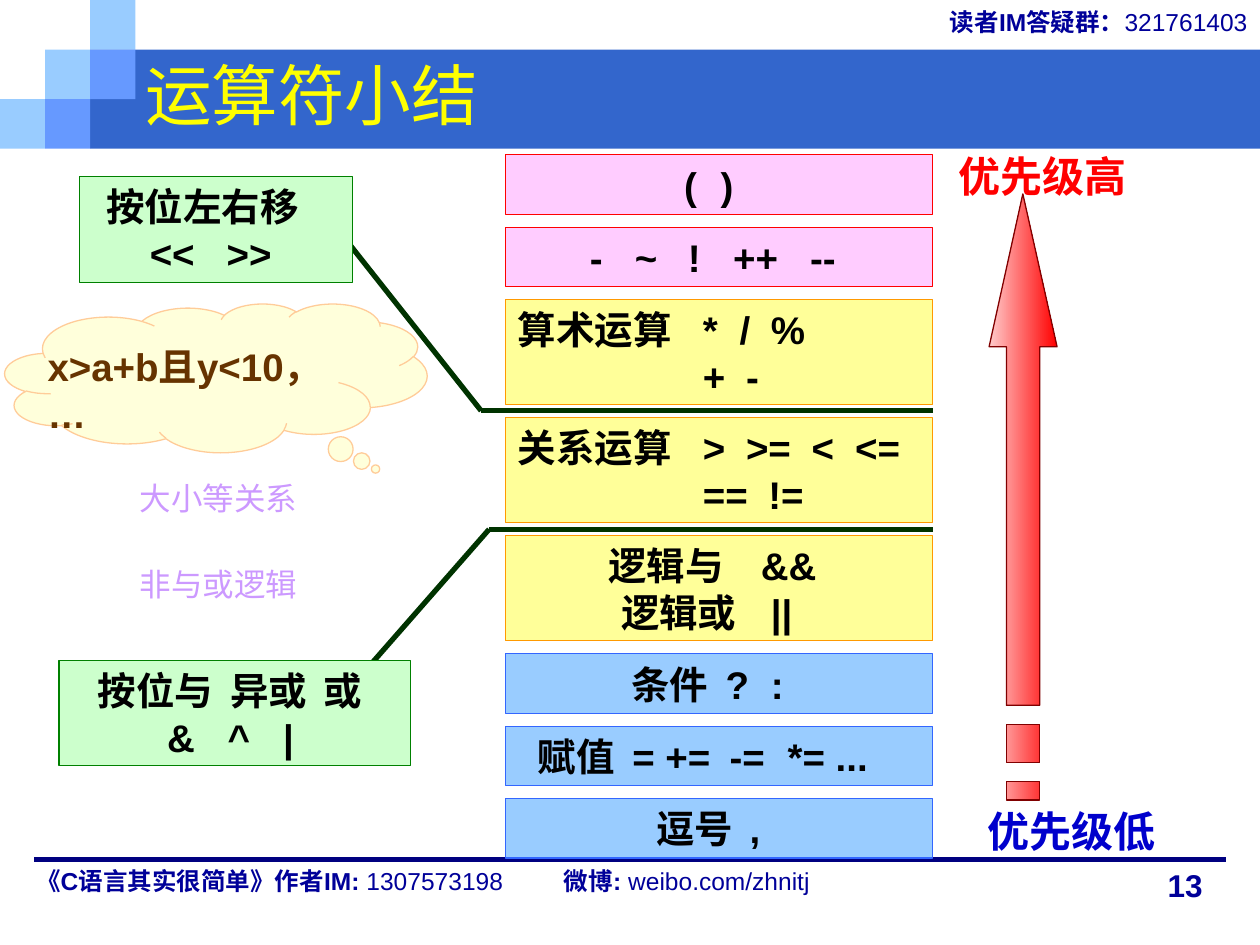
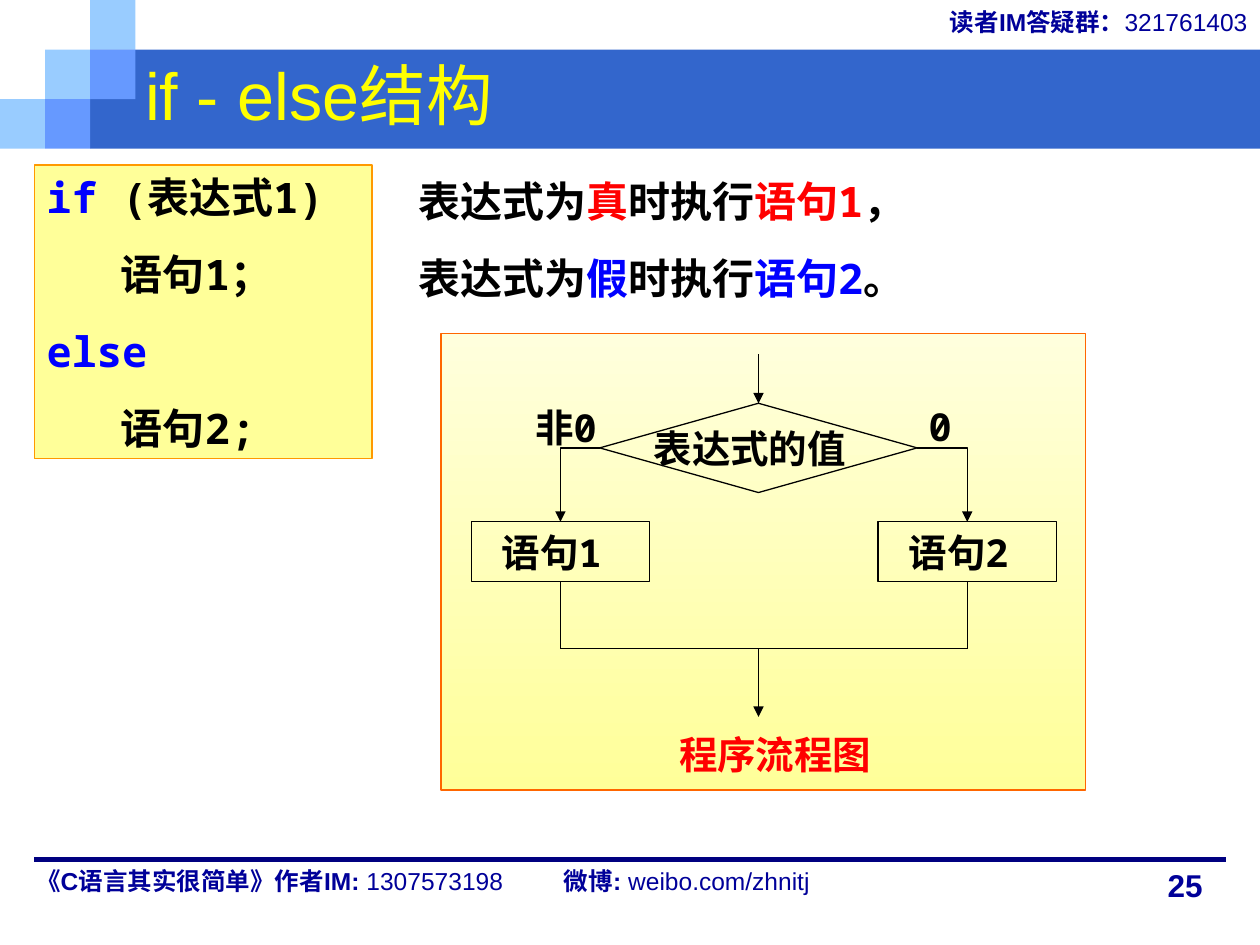
"""Builds two C-language lecture slides: operator precedence and the if-else structure."""
from dataclasses import dataclass
from typing import Any, NamedTuple, Optional

from lxml import etree
from pptx import Presentation
from pptx import util as u
from pptx.dml import color as dml
from pptx.enum import shapes, text
from pptx.oxml import ns

COLORS = {
    "band": "3366CC", "sky": "99CCFF", "mid": "6699FF", "rule": "000080", "navy": "000099",
    "title": "FFFF00", "black": "000000", "red": "FF0000", "blue": "0000FF", "low": "0000CC",
    "pink": "FFCCCC", "maroon": "800000", "lilac": "FFCCFF", "yellow": "FFFF99",
    "orange": "FF9900", "azure": "3366FF", "mint": "CCFFCC", "green": "008000",
    "forest": "003300", "cream": "FFFFCC", "peach": "FFCC99", "brown": "663300",
    "violet": "CC99FF", "ivory": "FFFFDD", "flame": "FF6600",
}
SANS, CJK, MONO = "Arial", "Noto Sans CJK SC", "Noto Sans Mono"
LEADING = 1.21
LEFT, CENTER, RIGHT = text.PP_ALIGN.LEFT, text.PP_ALIGN.CENTER, text.PP_ALIGN.RIGHT
RECT = shapes.MSO_SHAPE.RECTANGLE


class Run(NamedTuple):
    words: str
    color: Optional[str] = None
    bold: Optional[bool] = None


class Line(NamedTuple):
    runs: tuple[Run, ...]
    stops: tuple[float, ...] = ()


class Leg(NamedTuple):
    x1: float
    y1: float
    x2: float
    y2: float
    arrow: bool = False


@dataclass
class Box:
    left: float
    top: float
    width: float
    height: float
    lines: tuple[Line, ...] = ()
    kind: Any = None
    fill: Optional[str] = None
    edge: Optional[str] = None
    size: float = 22
    font: str = SANS
    bold: bool = True
    color: str = "black"
    align: Any = LEFT
    anchor: Any = text.MSO_ANCHOR.TOP
    before: float = 0
    wrap: bool = True
    right_inset: float = 0.25


def rgb(key: str) -> dml.RGBColor:
    return dml.RGBColor.from_string(COLORS[key])


def line(words: str, *stops: float) -> Line:
    return Line((Run(words),), stops)


def apply(target: Any, values: dict[str, Any]) -> None:
    for name, value in values.items():
        setattr(target, name, value)


def child(parent: Any, tag: str, **attributes: str) -> Any:
    return etree.SubElement(parent, ns.qn(tag), attributes)


def format_run(run: Any, size: float, font: str, bold: bool, color: str) -> None:
    apply(run.font, {"size": u.Pt(size), "name": font, "bold": bold})
    run.font.color.rgb = rgb(color)
    child(run.font._element, "a:ea", typeface=CJK)


def write(frame: Any, box: Box) -> None:
    apply(frame, {
        "word_wrap": box.wrap, "auto_size": text.MSO_AUTO_SIZE.NONE, "vertical_anchor": box.anchor,
        "margin_left": u.Cm(0.25), "margin_right": u.Cm(box.right_inset),
        "margin_top": u.Cm(0.13), "margin_bottom": u.Cm(0.13),
    })
    for index, entry in enumerate(box.lines):
        paragraph = frame.add_paragraph() if index else frame.paragraphs[0]
        apply(paragraph, {
            "alignment": box.align, "line_spacing": u.Pt(round(box.size * LEADING, 1)),
            "space_before": u.Pt(box.before if index else 0),
        })
        if entry.stops:
            stops = child(paragraph._p.get_or_add_pPr(), "a:tabLst")
            for stop in entry.stops:
                child(stops, "a:tab", pos=str(u.Cm(stop)), algn="l")
        for part in entry.runs:
            run = paragraph.add_run()
            run.text = part.words
            bold = box.bold if part.bold is None else part.bold
            format_run(run, box.size, box.font, bold, part.color or box.color)


def paint(shape: Any, fill: Optional[str], edge: Optional[str]) -> None:
    shape.shadow.inherit = False
    if fill:
        shape.fill.solid()
        shape.fill.fore_color.rgb = rgb(fill)
    else:
        shape.fill.background()
    if edge:
        shape.line.color.rgb = rgb(edge)
        shape.line.width = u.Pt(0.75)
    else:
        shape.line.fill.background()


def shade(shape: Any, start: str, end: str, angle: float) -> None:
    shape.fill.gradient()
    shape.fill.gradient_angle = angle
    for stop, key in zip(shape.fill.gradient_stops, (start, end)):
        stop.color.rgb = rgb(key)


def draw_box(slide: Any, box: Box) -> Any:
    frame = [u.Cm(v) for v in (box.left, box.top, box.width, box.height)]
    if box.kind is None:
        shape = slide.shapes.add_textbox(*frame)
    else:
        shape = slide.shapes.add_shape(box.kind, *frame)
        paint(shape, box.fill, box.edge)
    if box.lines:
        write(shape.text_frame, box)
    return shape


def finish_connector(connector: Any, color: str, width: float, arrow: bool) -> None:
    connector.line.color.rgb = rgb(color)
    connector.line.width = u.Pt(width)
    if arrow:
        child(connector.line._get_or_add_ln(), "a:tailEnd", type="triangle")
    child(connector._element.spPr, "a:effectLst")


def draw_leg(slide: Any, leg: Leg, color: str = "black", width: float = 0.75) -> None:
    ends = [u.Cm(v) for v in leg[:4]]
    connector = slide.shapes.add_connector(shapes.MSO_CONNECTOR.STRAIGHT, *ends)
    finish_connector(connector, color, width, leg.arrow)


def draw_branch(slide: Any, decision: Any, site: int, statement: Any) -> None:
    connector = slide.shapes.add_connector(shapes.MSO_CONNECTOR.ELBOW, 0, 0, 0, 0)
    connector.begin_connect(decision, site)
    connector.end_connect(statement, 0)
    connector._element.spPr.find(ns.qn("a:prstGeom")).set("prst", "bentConnector2")
    finish_connector(connector, "black", 0.75, True)


def start_slide(deck: Any, heading: str, number: int) -> Any:
    slide = deck.slides.add_slide(deck.slide_layouts[5])
    tile_width, tile_height = 0.91, 1.0
    band_left = 2 * tile_width
    draw_box(slide, Box(band_left, 1, 25.4 - band_left, 2, kind=RECT, fill="band"))
    for column, row, fill in ((0, 2, "sky"), (1, 1, "sky"), (2, 0, "sky"), (2, 1, "mid"), (1, 2, "mid")):
        draw_box(slide, Box(column * tile_width, row * tile_height, tile_width, tile_height,
                            kind=RECT, fill=fill))
    draw_leg(slide, Leg(0.69, 17.32, 24.71, 17.32), "rule", 3)
    author = Line((Run("《C语言其实很简单》作者IM: "), Run("1307573198\t", bold=False),
                   Run("微博: "), Run("weibo.com/zhnitj", bold=False)), (10.64,))
    readers = Line((Run("读者IM答疑群："), Run("321761403", bold=False)))
    for box in (
        Box(23.29, 17.32, 1.4, 1.02, (line(str(number)),), size=18, color="navy"),
        Box(0.48, 17.32, 19.41, 1.19, (author,), size=14, color="navy"),
        Box(10.8, 0, 14.6, 0.91, (readers,), size=14, color="navy", align=RIGHT),
    ):
        draw_box(slide, box)
    title = slide.shapes.title
    apply(title, {"left": u.Cm(2.67), "top": u.Cm(0.71), "width": u.Cm(22.23), "height": u.Cm(2.36)})
    apply(title.text_frame, {"text": heading, "vertical_anchor": text.MSO_ANCHOR.MIDDLE,
                             "auto_size": text.MSO_AUTO_SIZE.NONE})
    paragraph = title.text_frame.paragraphs[0]
    paragraph.alignment = LEFT
    format_run(paragraph.runs[0], 38, SANS, False, "title")
    slide.shapes._spTree.append(title._element)
    return slide


def draw_priority_arrow(slide: Any) -> None:
    left, right = 20.29, 20.96
    head = ((19.94, 6.99), (left, 6.99), (left, 14.22), (right, 14.22), (right, 6.99),
            (21.31, 6.99), (20.62, 3.91))
    dashes = (((left, top), (right, top), (right, bottom), (left, bottom))
              for top, bottom in ((14.61, 15.37), (15.75, 16.13)))
    builder = None
    for outline in (head, *dashes):
        start, *corners = [(u.Cm(x), u.Cm(y)) for x, y in outline]
        if builder is None:
            builder = slide.shapes.build_freeform(*start)
        else:
            builder.move_to(*start)
        builder.add_line_segments(corners)
    arrow = builder.convert_to_shape()
    paint(arrow, "red", "maroon")
    shade(arrow, "pink", "red", 0)


def build_operators(deck: Any) -> None:
    slide = start_slide(deck, "运算符小结", 13)
    tiers = (
        ("lilac", "red", (line("\t(\t)", 3.35, 4.09),)),
        ("lilac", "red", (line("\t-\t~\t!\t++\t--", 1.45, 2.36, 3.43, 4.34, 5.89),)),
        ("yellow", "orange", (line("算术运算\t*\t/\t%", 3.73, 4.47, 5.1), line("\t+\t-", 3.73, 4.6))),
        ("yellow", "orange", (line("关系运算\t>\t>=\t<\t<=", 3.73, 4.6, 5.92, 6.8),
                              line("\t==\t!=", 3.73, 5.05))),
        ("yellow", "orange", (line("\t逻辑与\t&&", 1.83, 4.9), line("\t逻辑或\t||", 2.08, 5.1))),
        ("sky", "azure", (line("\t条件\t?\t:", 2.29, 4.19, 5.1),)),
        ("sky", "azure", (line("\t赋值\t= +=\t-=\t*= ...", 0.4, 2.31, 4.27, 5.44),)),
        ("sky", "azure", (line("\t逗号\t,", 2.79, 4.67),)),
    )
    top, gap = 3.12, 0.26
    for fill, edge, lines in tiers:
        height = 1.2 if len(lines) == 1 else 2.12
        draw_box(slide, Box(10.19, top, 8.61, height, lines, RECT, fill, edge))
        top += height + gap
    draw_priority_arrow(slide)
    draw_box(slide, Box(19.08, 2.9, 5.16, 1.27, (line("优先级高"),), size=24, color="red"))
    draw_box(slide, Box(19.66, 16.1, 5.16, 1.27, (line("优先级低"),), size=24, color="low"))
    for leg in (Leg(18.8, 8.28, 9.7, 8.28), Leg(9.7, 8.28, 7.01, 4.88),
                Leg(18.8, 10.67, 9.86, 10.67), Leg(7.39, 13.49, 9.86, 10.67)):
        draw_leg(slide, leg, "forest", 3)
    cloud = draw_box(slide, Box(0.1, 6.12, 8.51, 3, kind=shapes.MSO_SHAPE.CLOUD_CALLOUT,
                                fill="cream", edge="peach"))
    for index, value in enumerate((0.378, 0.612)):
        cloud.adjustments[index] = value
    child(cloud._element.spPr.find(ns.qn("a:solidFill"))[0], "a:alpha", val="70000")
    draw_box(slide, Box(0.71, 6.78, 6.9, 2.13, (line("x>a+b且y<10，"), line("…")), color="brown"))
    for top, words in ((9.53, "大小等关系"), (11.25, "非与或逻辑")):
        draw_box(slide, Box(1.6, top, 5.61, 1.5, (line(words),), size=18, font=CJK,
                            bold=False, color="violet", align=CENTER))
    shifts = (line("\t按位左右移", 0.3), line("\t<<\t>>", 1.17, 2.72))
    bitwise = (line("\t按位与\t异或\t或", 0.53, 3.2, 5.08), line("\t&\t^\t|", 1.93, 3.15, 4.27))
    draw_box(slide, Box(1.6, 3.56, 5.51, 2.13, shifts, RECT, "mint", "green"))
    draw_box(slide, Box(1.19, 13.31, 7.09, 2.13, bitwise, RECT, "mint", "green"))


def outcome(truth: str, statement: str, color: str, end: str) -> Line:
    return Line((Run("表达式为"), Run(truth, color), Run("时执行"), Run(statement, color), Run(end)))


def build_if_else(deck: Any) -> None:
    slide = start_slide(deck, "if - else结构", 25)
    mono = {"font": MONO}
    outcomes = (outcome("真", "语句1", "red", "，"), outcome("假", "语句2", "blue", "。"))
    draw_box(slide, Box(8.18, 3.4, 11.56, 2.82, outcomes, size=24, before=15, **mono))
    panel = draw_box(slide, Box(8.89, 6.73, 13, 9.2, kind=RECT, fill="yellow", edge="flame"))
    shade(panel, "ivory", "yellow", 270)
    node = {"edge": "black", "align": CENTER, "anchor": text.MSO_ANCHOR.MIDDLE,
            "wrap": False, "right_inset": 0.6, **mono}
    decision = draw_box(slide, Box(12.09, 8.13, 6.4, 1.8, (line("表达式的值"),),
                                   shapes.MSO_SHAPE.FLOWCHART_DECISION, **node))
    for left, words, site in ((9.5, "语句1", 1), (17.7, "语句2", 3)):
        statement = draw_box(slide, Box(left, 10.52, 3.6, 1.2, (line(words),), RECT, **node))
        draw_branch(slide, decision, site, statement)
    axis, left_axis, right_axis, merge = 15.29, 11.3, 19.5, 13.08
    for leg in (Leg(axis, 7.14, axis, 8.13, True), Leg(left_axis, 11.72, left_axis, merge),
                Leg(right_axis, 11.72, right_axis, merge), Leg(left_axis, merge, right_axis, merge),
                Leg(axis, merge, axis, 14.45, True)):
        draw_leg(slide, leg)
    for left, top, width, words, color in ((10.54, 8, 2.2, "非0", "black"), (18.47, 7.98, 1.2, "0", "black"),
                                           (13.44, 14.61, 4.7, "程序流程图", "red")):
        draw_box(slide, Box(left, top, width, 1.2, (line(words),), color=color, **mono))
    code = (Line((Run("if ", "blue"), Run("(表达式1)"))), line("\t语句1；", 1.5),
            Line((Run("else", "blue"),)), line("\t语句2;", 1.5))
    draw_box(slide, Box(0.69, 3.33, 6.81, 5.92, code, RECT, "yellow", "orange", 24, before=15, **mono))


def main() -> None:
    deck = Presentation()
    apply(deck, {"slide_width": u.Cm(25.4), "slide_height": u.Cm(19.05)})
    build_operators(deck)
    build_if_else(deck)
    deck.save("out.pptx")


if __name__ == "__main__":
    main()
